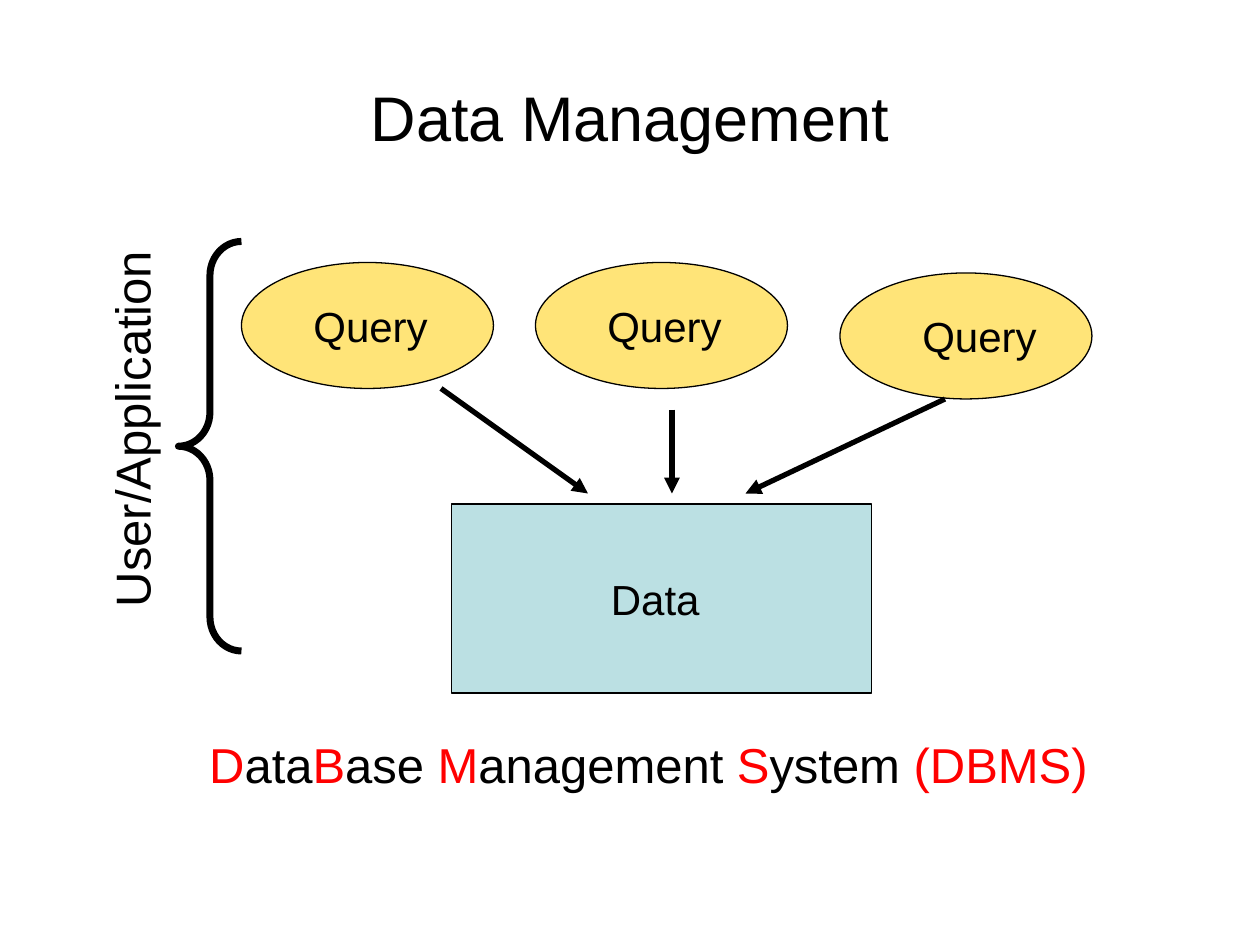
from dataclasses import dataclass

from lxml.etree import SubElement
from pptx import Presentation
from pptx.dml.color import RGBColor as Color
from pptx.enum.shapes import MSO_CONNECTOR as Connector, MSO_SHAPE as Shape
from pptx.enum.text import MSO_ANCHOR as Anchor, MSO_AUTO_SIZE as AutoSize, PP_ALIGN as Align
from pptx.oxml.ns import qn
from pptx.util import Pt


@dataclass(frozen=True)
class Theme:
    font: str = "Arial"
    ink: str = "000000"
    accent: str = "FF0000"
    query: str = "FFCC00"
    data: str = "BBE0E3"
    title_size: int = 36
    caption_size: int = 28
    label_size: int = 24


def add_span(para, text, *, font, size, color):
    span = para.add_run()
    span.text = text
    span.font.name = font
    span.font.size = Pt(size)
    span.font.color.rgb = Color.from_string(color)


class Builder:
    def __init__(self, page, theme):
        self.page = page
        self.theme = theme

    def title(self, text, left, top, width, height):
        box = self.page.shapes.title
        box.left, box.top, box.width, box.height = map(Pt, (left, top, width, height))
        box.text_frame.vertical_anchor = Anchor.MIDDLE
        para = box.text_frame.paragraphs[0]
        para.alignment = Align.CENTER
        add_span(para, text, font=self.theme.font, size=self.theme.title_size, color=self.theme.ink)

    def label(self, spans, left, top, width, height, size, rotation=0):
        box = self.page.shapes.add_textbox(*map(Pt, (left, top, width, height)))
        box.rotation = rotation
        box.text_frame.word_wrap = False
        box.text_frame.auto_size = AutoSize.SHAPE_TO_FIT_TEXT
        para = box.text_frame.paragraphs[0]
        for text, color in spans:
            add_span(para, text, font=self.theme.font, size=size, color=color)
        return box

    def shape(self, kind, left, top, width, height, fill=None, opacity=None, line=0.75):
        box = self.page.shapes.add_shape(kind, *map(Pt, (left, top, width, height)))
        box.shadow.inherit = False
        box.line.color.rgb = Color.from_string(self.theme.ink)
        box.line.width = Pt(line)
        if fill is None:
            box.fill.background()
            return box
        box.fill.solid()
        box.fill.fore_color.rgb = Color.from_string(fill)
        if opacity is not None:
            tint = box.fill._xPr.find(qn("a:solidFill"))[0]
            SubElement(tint, qn("a:alpha"), val=str(opacity * 1000))
        return box

    def arrow(self, start, end):
        arrow = self.page.shapes.add_connector(Connector.STRAIGHT, *map(Pt, (*start, *end)))
        arrow.line.color.rgb = Color.from_string(self.theme.ink)
        arrow.line.width = Pt(3)
        SubElement(arrow.line._get_or_add_ln(), qn("a:tailEnd"), type="triangle")
        SubElement(arrow._element.spPr, qn("a:effectLst"))

    def group(self, *boxes):
        self.page.shapes.add_group_shape(boxes)


def main():
    theme = Theme()
    deck = Presentation()
    deck.slide_width, deck.slide_height = Pt(720), Pt(540)
    page = deck.slides.add_slide(deck.slide_layouts[5])
    build = Builder(page, theme)

    build.title("Data Management", 36, 21.6, 648, 90)

    data = build.shape(Shape.RECTANGLE, 258, 288, 240, 108, theme.data)
    data_label = build.label([("Data", theme.ink)], 342, 324, 65.5, 36, theme.label_size)
    build.group(data, data_label)

    for left, top, indent in ((306, 150, 34), (138, 150, 34), (480, 156, 40)):
        build.shape(Shape.OVAL, left, top, 144, 72, theme.query, opacity=53)
        build.label([("Query", theme.ink)], left + indent, top + 18, 80, 36, theme.label_size)

    brace = build.shape(Shape.LEFT_BRACE, 102, 138, 36, 234, line=4)
    brace.adjustments[0] = 0.54
    user_label = build.label([("User/Application", theme.ink)], -34.5, 224, 219, 41,
                             theme.caption_size, rotation=270)
    build.group(brace, user_label)

    caption = (("D", theme.accent), ("ata", theme.ink), ("B", theme.accent),
               ("ase ", theme.ink), ("M", theme.accent), ("anagement ", theme.ink),
               ("S", theme.accent), ("ystem ", theme.ink), ("(DBMS)", theme.accent))
    build.label(caption, 112.5, 416, 517.5, 41, theme.caption_size)

    for start, end in (((252, 222), (336, 282)), ((384, 234), (384, 282)), ((540, 228), (426, 282))):
        build.arrow(start, end)

    deck.save("out.pptx")


if __name__ == "__main__":
    main()
